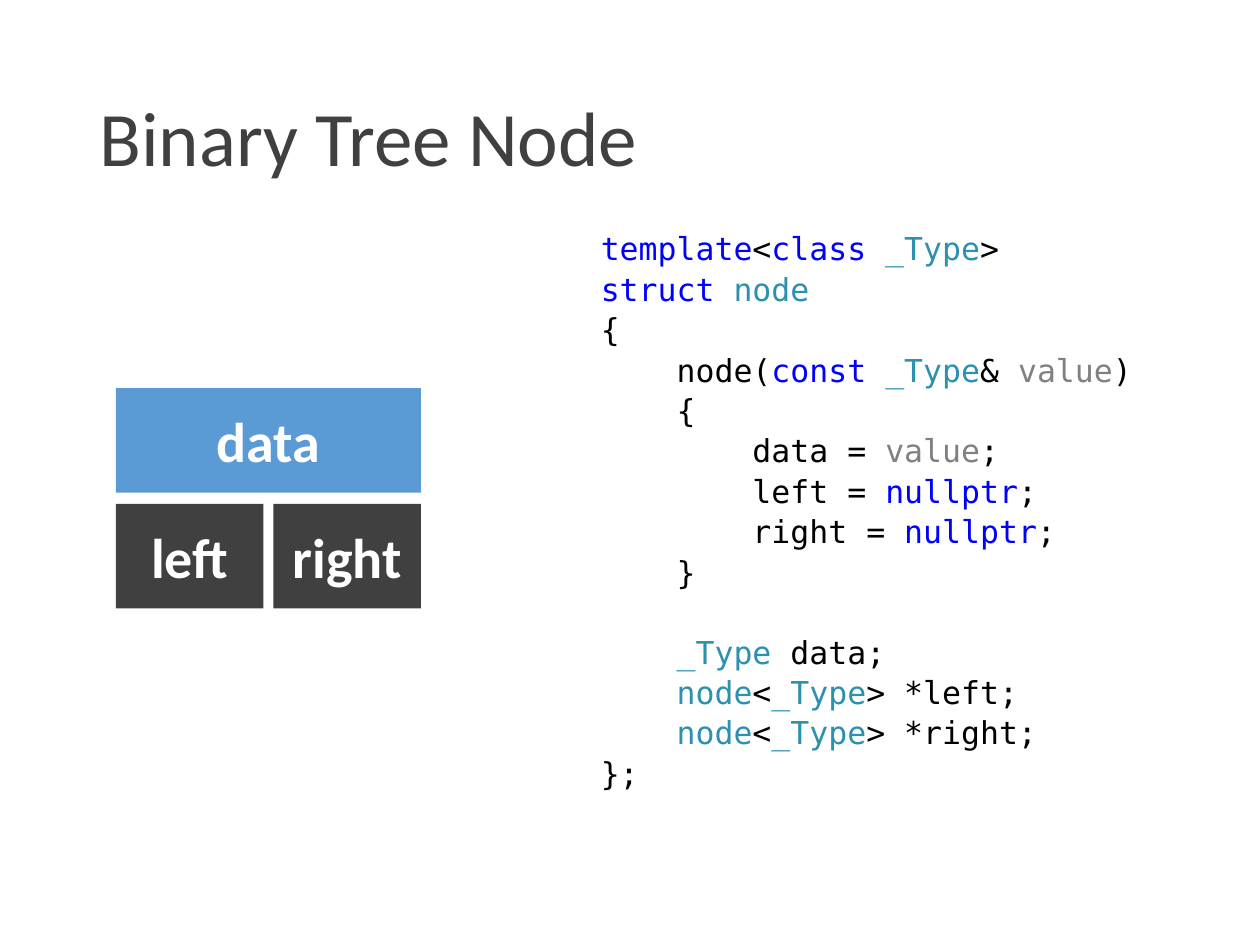
"""Build a slide that shows a binary tree node as a diagram and as C++ code."""
import pptx
import pptx.dml.color
import pptx.enum.shapes
import pptx.enum.text
import pptx.util
from pptx.util import Inches

BLACK, WHITE, DARK, ACCENT = "000000", "FFFFFF", "404040", "5B9BD5"
KEYWORD, TYPE, PARAMETER = "0000FF", "2B91AF", "808080"
CODE_SIZE, CODE_LEADING, CODE_LINE_HEIGHT = 18, 1.07, 22.5

CONSTRUCTOR_CODE = [
    [("template", KEYWORD), ("<", BLACK), ("class ", KEYWORD), ("_Type", TYPE), (">", BLACK)],
    [("struct ", KEYWORD), ("node", TYPE)],
    [("{", BLACK)],
    [("    node(", BLACK), ("const ", KEYWORD), ("_Type", TYPE), ("& ", BLACK),
     ("value", PARAMETER), (")", BLACK)],
    [("    {", BLACK)],
    [("        data = ", BLACK), ("value", PARAMETER), (";", BLACK)],
    [("        left = ", BLACK), ("nullptr", KEYWORD), (";", BLACK)],
    [("        right = ", BLACK), ("nullptr", KEYWORD), (";", BLACK)],
    [("    }", BLACK)],
]
MEMBER_CODE = [
    [("    ", BLACK), ("_Type", TYPE), (" data;", BLACK)],
    [("    ", BLACK), ("node", TYPE), ("<", BLACK), ("_Type", TYPE), ("> *left;", BLACK)],
    [("    ", BLACK), ("node", TYPE), ("<", BLACK), ("_Type", TYPE), ("> *right;", BLACK)],
    [("};", BLACK)],
]


def color(hex_string):
    """Return the colour for a hex string."""
    return pptx.dml.color.RGBColor.from_string(hex_string)


def style_font(font, name, size, hex_string, bold=False):
    """Set the typeface, size, colour and weight of a font."""
    font.name = name
    font.size = pptx.util.Pt(size)
    font.color.rgb = color(hex_string)
    font.bold = bold


def add_title(slide, text):
    """Add the slide title, centred vertically in its area."""
    box = slide.shapes.add_textbox(Inches(0.69), Inches(0.4), Inches(8.62), Inches(1.45))
    frame = box.text_frame
    frame.word_wrap = True
    frame.vertical_anchor = pptx.enum.text.MSO_ANCHOR.MIDDLE
    paragraph = frame.paragraphs[0]
    paragraph.text = text
    paragraph.line_spacing = 0.9
    style_font(paragraph.font, "Calibri", 44, DARK)


def add_field(slide, text, left, top, width, fill):
    """Add one labelled field of the node diagram."""
    shape = slide.shapes.add_shape(
        pptx.enum.shapes.MSO_SHAPE.RECTANGLE,
        Inches(left), Inches(top), Inches(width), Inches(0.83))
    shape.shadow.inherit = False
    shape.fill.solid()
    shape.fill.fore_color.rgb = color(fill)
    shape.line.fill.background()
    shape.text_frame.vertical_anchor = pptx.enum.text.MSO_ANCHOR.MIDDLE
    paragraph = shape.text_frame.paragraphs[0]
    paragraph.text = text
    paragraph.alignment = pptx.enum.text.PP_ALIGN.CENTER
    style_font(paragraph.font, "Calibri", 32, WHITE, bold=True)


def add_code(slide, blocks):
    """Add blocks of coloured code, set one line apart."""
    box = slide.shapes.add_textbox(Inches(4.67), Inches(1.75), Inches(5), Inches(4.85))
    frame = box.text_frame
    frame.word_wrap = True
    paragraph = frame.paragraphs[0]
    for block_index, block in enumerate(blocks):
        for line_index, line in enumerate(block):
            if block_index or line_index:
                paragraph = frame.add_paragraph()
            if block_index and not line_index:
                paragraph.space_before = pptx.util.Pt(CODE_LINE_HEIGHT)
            paragraph.line_spacing = CODE_LEADING
            for text, hex_string in line:
                run = paragraph.add_run()
                run.text = text
                style_font(run.font, "DejaVu Sans Mono", CODE_SIZE, hex_string)


def main():
    """Build and save the presentation."""
    presentation = pptx.Presentation()
    presentation.slide_width = Inches(10)
    presentation.slide_height = Inches(7.5)
    slide = presentation.slides.add_slide(presentation.slide_layouts[6])
    add_code(slide, [CONSTRUCTOR_CODE, MEMBER_CODE])
    add_title(slide, "Binary Tree Node")
    add_field(slide, "data", 0.92, 3.08, 2.42, ACCENT)
    add_field(slide, "left", 0.92, 4, 1.17, DARK)
    add_field(slide, "right", 2.17, 4, 1.17, DARK)
    presentation.save("out.pptx")


if __name__ == "__main__":
    main()
